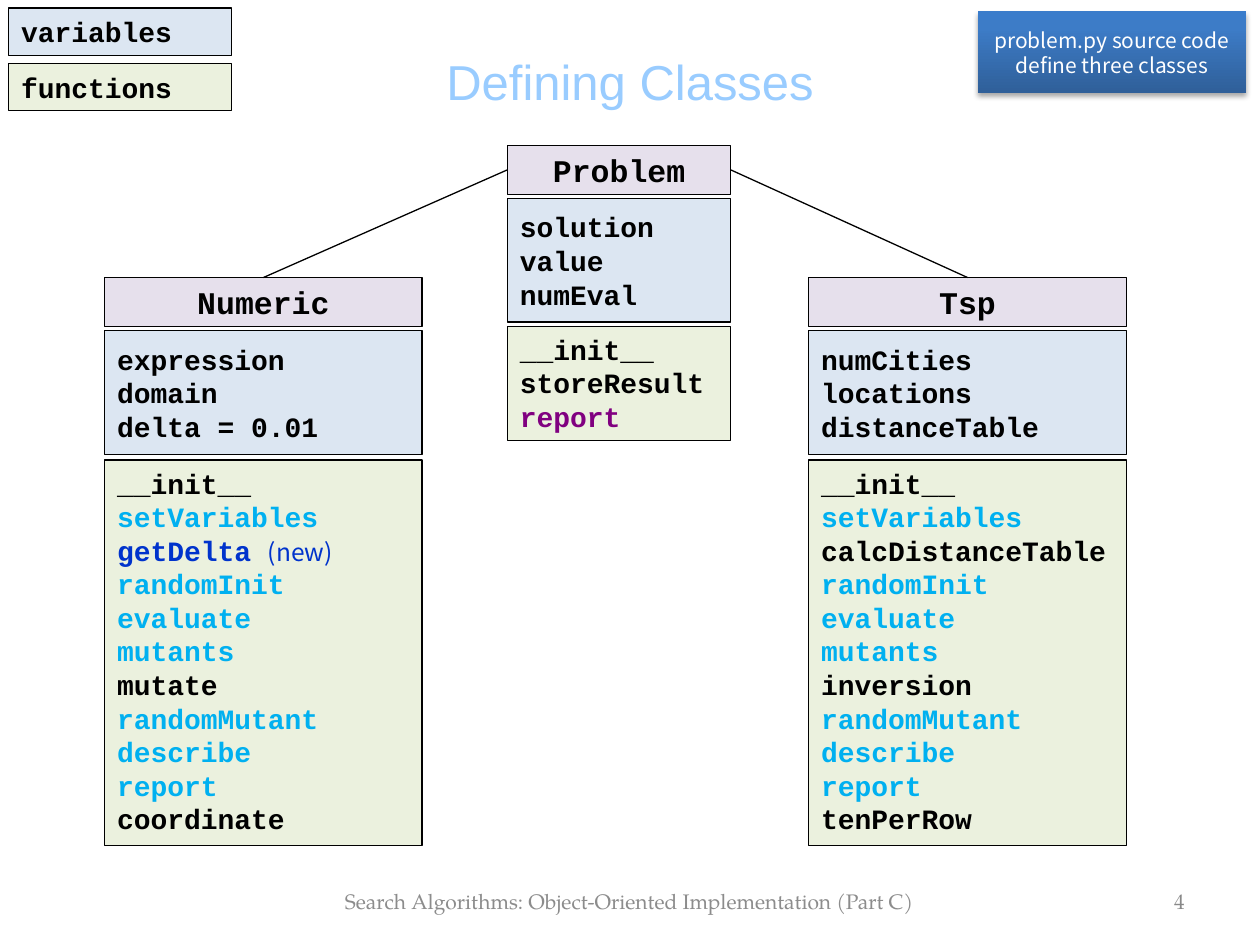
from copy import deepcopy
from dataclasses import dataclass
from typing import NamedTuple

from lxml.etree import SubElement
from pptx import Presentation
from pptx.dml.color import RGBColor
from pptx.enum.shapes import MSO_CONNECTOR, MSO_SHAPE
from pptx.enum.text import MSO_ANCHOR, MSO_AUTO_SIZE, PP_ALIGN
from pptx.oxml.ns import qn
from pptx.util import Pt

BLACK, CYAN, BLUE, PURPLE = "000000", "00B0F0", "0033CC", "800080"
HEADER_FILL, VARIABLE_FILL, FUNCTION_FILL = "E6E0EC", "DCE6F2", "EBF1DE"
CODE_FONT, NOTE_FONT, FOOTER_FONT = "Courier New", "Noto Sans CJK KR", "TeX Gyre Pagella"
HEADER_HEIGHT, VARIABLE_OFFSET, VARIABLE_HEIGHT = 28.1, 30.4, 70.6


class Area(NamedTuple):
    left: float
    top: float
    width: float
    height: float


class Run(NamedTuple):
    text: str
    color: str = BLACK
    size: float = 16
    font: str = CODE_FONT
    bold: bool = True


@dataclass
class ClassBox:
    name: str
    left: float
    top: float
    width: float
    variables: list[str]
    functions: list[tuple[str, str]]
    function_offset: float
    function_height: float
    note: tuple[str, str] = ("", "")


def color(value: str) -> RGBColor:
    return RGBColor.from_string(value)


def apply_format(target, values: dict) -> None:
    for name, value in values.items():
        setattr(target, name, value)


def write_text(shape, lines: list[list[Run]], align=PP_ALIGN.LEFT, anchor=MSO_ANCHOR.MIDDLE, grow=False) -> None:
    frame = shape.text_frame
    fit = MSO_AUTO_SIZE.SHAPE_TO_FIT_TEXT if grow else MSO_AUTO_SIZE.NONE
    apply_format(frame, {"word_wrap": True, "vertical_anchor": anchor, "auto_size": fit})
    for index, line in enumerate(lines):
        paragraph = frame.paragraphs[0] if index == 0 else frame.add_paragraph()
        paragraph.alignment = align
        for item in line:
            run = paragraph.add_run()
            run.text = item.text
            apply_format(run.font, {"name": item.font, "size": Pt(item.size), "bold": item.bold})
            run.font.color.rgb = color(item.color)


def add_label(slide, area: Area, run: Run, align=PP_ALIGN.CENTER) -> None:
    write_text(slide.shapes.add_textbox(*map(Pt, area)), [[run]], align)


def add_rectangle(slide, area: Area):
    shape = slide.shapes.add_shape(MSO_SHAPE.RECTANGLE, *map(Pt, area))
    shape.shadow.inherit = False
    return shape


def add_panel(slide, area: Area, fill: str, lines: list[list[Run]], **layout) -> None:
    shape = add_rectangle(slide, area)
    shape.fill.solid()
    shape.fill.fore_color.rgb = color(fill)
    shape.line.color.rgb = color(BLACK)
    shape.line.width = Pt(0.75)
    write_text(shape, lines, **layout)


def add_class(slide, box: ClassBox) -> None:
    header = Area(box.left, box.top, box.width, HEADER_HEIGHT)
    variables = Area(box.left, box.top + VARIABLE_OFFSET, box.width, VARIABLE_HEIGHT)
    functions = Area(box.left, box.top + box.function_offset, box.width, box.function_height)
    function_lines = []
    for name, tint in box.functions:
        line = [Run(name, tint)]
        if name == box.note[0]:
            line = [Run(name + " ", tint), Run(box.note[1], tint, 14, NOTE_FONT, False)]
        function_lines.append(line)
    add_panel(slide, header, HEADER_FILL, [[Run(box.name, size=18)]], align=PP_ALIGN.CENTER)
    add_panel(slide, variables, VARIABLE_FILL, [[Run(name)] for name in box.variables])
    add_panel(slide, functions, FUNCTION_FILL, function_lines, anchor=MSO_ANCHOR.TOP, grow=True)


def add_link(slide, parent: ClassBox, child: ClassBox) -> None:
    start = parent.left if child.left < parent.left else parent.left + parent.width
    points = (start, parent.top + HEADER_HEIGHT / 2, child.left + child.width / 2, child.top)
    connector = slide.shapes.add_connector(MSO_CONNECTOR.STRAIGHT, *map(Pt, points))
    connector.line.color.rgb = color(BLACK)
    connector.line.width = Pt(0.75)
    SubElement(connector._element.spPr, qn("a:effectLst"))


def add_callout(slide, area: Area, run: Run) -> None:
    shape = add_rectangle(slide, area)
    shape.line.fill.background()
    shape.fill.gradient()
    shape.fill.gradient_angle = 90
    stop_list = shape._element.spPr.find(".//" + qn("a:gsLst"))
    stop_list.append(deepcopy(stop_list[-1]))
    stops = [(0, "2F5F99"), (0.8, "3D7CC7"), (1, "3A7CCB")]
    for stop, (position, tint) in zip(shape.fill.gradient_stops, stops):
        stop.position = position
        stop.color.rgb = color(tint)
    effects = shape._element.spPr.find(qn("a:effectLst"))
    shadow = SubElement(effects, qn("a:outerShdw"), blurRad=str(Pt(3.1)), dist=str(Pt(1.8)),
                        dir="5400000", rotWithShape="0")
    shade = SubElement(shadow, qn("a:srgbClr"), val=BLACK)
    SubElement(shade, qn("a:alpha"), val="35000")
    write_text(shape, [[run]], PP_ALIGN.CENTER)


def child_class(name: str, left: float, variables: list[str], third: tuple[str, str],
                seventh: str, last: str, note=("", "")) -> ClassBox:
    functions = [("__init__", BLACK), ("setVariables", CYAN), third]
    functions += [(item, CYAN) for item in ("randomInit", "evaluate", "mutants")]
    functions.append((seventh, BLACK))
    functions += [(item, CYAN) for item in ("randomMutant", "describe", "report")]
    functions.append((last, BLACK))
    return ClassBox(name, left, 158.6, 181.4, variables, functions, 104.2, 220.5, note)


def main() -> None:
    presentation = Presentation()
    apply_format(presentation, {"slide_width": Pt(720), "slide_height": Pt(540)})
    slide = presentation.slides.add_slide(presentation.slide_layouts[6])

    add_label(slide, Area(36, 21.6, 648, 49.7), Run("Defining Classes", "99CCFF", 28, "Arial", False))
    add_label(slide, Area(161.3, 500.4, 396.7, 28.8),
              Run("Search Algorithms: Object-Oriented Implementation (Part C)", "8C8C8C", 12, FOOTER_FONT, False))
    add_label(slide, Area(598.3, 500.4, 85.7, 28.8),
              Run("4", "898989", 12, FOOTER_FONT, False), PP_ALIGN.RIGHT)

    problem = ClassBox("Problem", 290, 83, 127.5, ["solution", "value", "numEval"],
                       [("__init__", BLACK), ("storeResult", BLACK), ("report", PURPLE)], 103.4, 65.5)
    numeric = child_class("Numeric", 59.8, ["expression", "domain", "delta = 0.01"],
                          ("getDelta", BLUE), "mutate", "coordinate", ("getDelta", "(new)"))
    tsp = child_class("Tsp", 462.2, ["numCities", "locations", "distanceTable"],
                      ("calcDistanceTable", BLACK), "inversion", "tenPerRow")
    for box in (problem, numeric, tsp):
        add_class(slide, box)
    for child in (numeric, tsp):
        add_link(slide, problem, child)

    legend = [("variables", VARIABLE_FILL), ("functions", FUNCTION_FILL)]
    for index, (name, fill) in enumerate(legend):
        add_panel(slide, Area(5, 4.6 + 31.6 * index, 127.5, 27), fill, [[Run(name)]])
    add_callout(slide, Area(558.7, 6.5, 153.4, 46.8),
                Run("problem.py source code define three classes", "FFFFFF", 12, NOTE_FONT, False))

    presentation.save("out.pptx")


if __name__ == "__main__":
    main()
